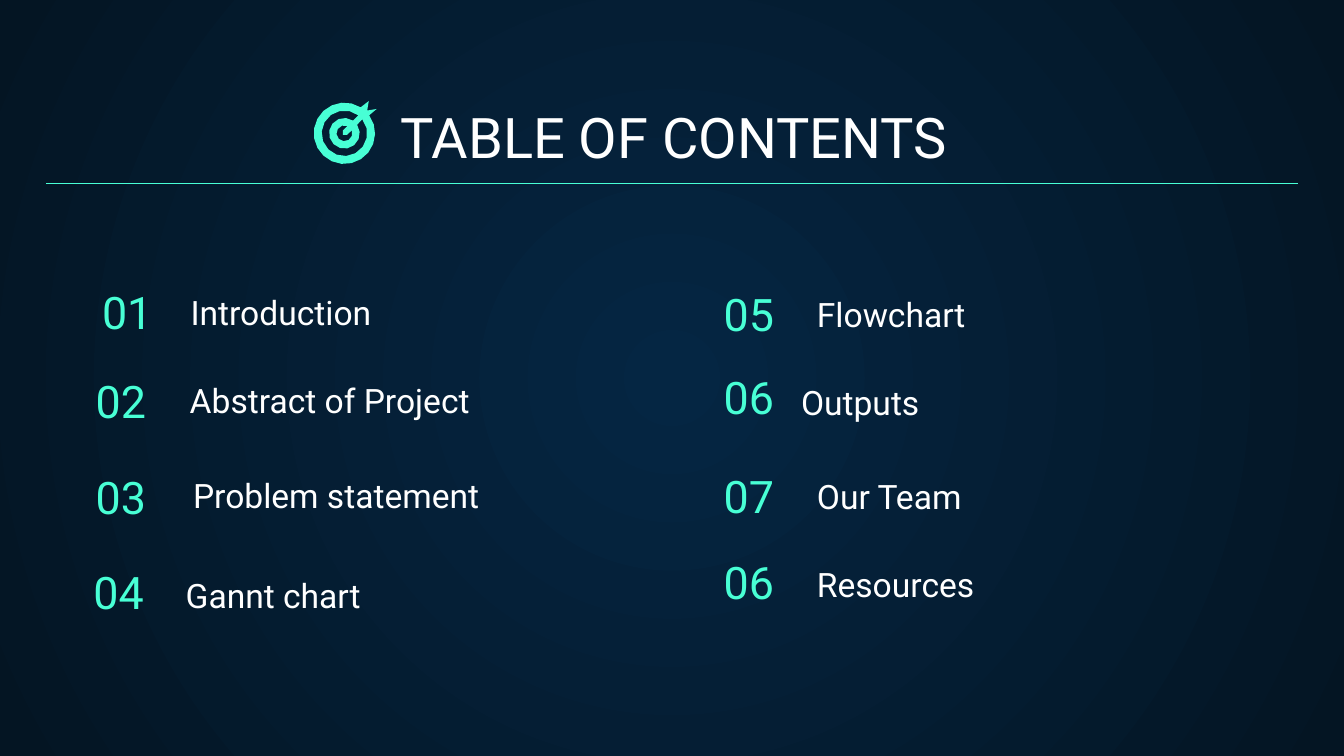
"""Build a dark table of contents slide with eight numbered entries and a target icon."""
from math import cos, radians, sin

from lxml.etree import SubElement
from pptx import Presentation
from pptx.dml.color import RGBColor
from pptx.enum.shapes import MSO_CONNECTOR
from pptx.enum.text import MSO_ANCHOR, MSO_AUTO_SIZE, PP_ALIGN
from pptx.oxml.ns import qn
from pptx.util import Cm, Pt

MINT = RGBColor(0x48, 0xFF, 0xD5)
WHITE = RGBColor(0xFF, 0xFF, 0xFF)
NAVY = RGBColor(0x05, 0x26, 0x43)
MIDNIGHT = RGBColor(0x04, 0x15, 0x23)
LEFT, CENTER, RIGHT = PP_ALIGN.LEFT, PP_ALIGN.CENTER, PP_ALIGN.RIGHT

TITLE = ("TABLE OF CONTENTS", (0.9, 1.78, 23.67, 1.68), CENTER)
NUMBERS = [
    ("01", (1.68, 4.97, 2.03, 1.68), LEFT),
    ("02", (1.56, 6.78, 1.98, 1.55), LEFT),
    ("03", (1.56, 8.46, 1.98, 1.68), LEFT),
    ("04", (0.99, 10.26, 1.98, 1.68), RIGHT),
    ("05", (13.15, 5.0, 1.73, 1.68), RIGHT),
    ("06", (11.6, 6.58, 3.28, 1.68), RIGHT),
    ("07", (11.6, 8.45, 3.28, 1.68), RIGHT),
    ("06", (11.6, 9.45, 3.28, 2.31), RIGHT),
]
TOPICS = [
    ("Introduction", (2.88, 5.14, 4.39, 1.4), RIGHT),
    ("Abstract of Project", (2.96, 7.11, 6.17, 1.09), RIGHT),
    ("Problem statement", (2.88, 8.92, 6.43, 1.07), RIGHT),
    ("Gannt chart", (3.26, 10.74, 5.66, 1.14), LEFT),
    ("Flowchart", (15.19, 5.57, 7.49, 0.99), LEFT),
    ("Outputs", (14.89, 6.96, 9.02, 1.27), LEFT),
    ("Our Team", (15.19, 9.02, 7.49, 0.99), LEFT),
    ("Resources", (15.19, 10.69, 7.49, 0.99), LEFT),
]
TARGET_CENTER = (6.51, 2.52)
DART_TAIL = [(0.61, 0.46), (0.43, 0.43), (0.46, 0.61)]
DART_TIP = [(0.05, -0.03), (-0.03, -0.03), (-0.03, 0.05)]


def arc(radius, start, end, steps):
    """Return points on an arc around the origin, with y pointing up."""
    angles = [radians(start + (end - start) * step / steps) for step in range(steps + 1)]
    return [(radius * cos(angle), radius * sin(angle)) for angle in angles]


def write_text(shape, content, size, color):
    """Place a text shape and fill it with one formatted run."""
    text, box, alignment = content
    shape.left, shape.top, shape.width, shape.height = map(Cm, box)
    frame = shape.text_frame
    frame.word_wrap = True
    frame.auto_size = MSO_AUTO_SIZE.NONE
    frame.vertical_anchor = MSO_ANCHOR.BOTTOM
    frame.margin_left = frame.margin_right = Cm(0.25)
    frame.margin_top = frame.margin_bottom = Cm(0.25)
    paragraph = frame.paragraphs[0]
    paragraph.alignment = alignment
    paragraph.line_spacing = 1.0
    paragraph.space_before = Pt(0)
    run = paragraph.add_run()
    run.text = text
    run.font.name = "Roboto"
    run.font.size = Pt(size)
    run.font.color.rgb = color


def paint_background(slide):
    """Give the slide a circular gradient that darkens outwards."""
    fill = slide.background.fill
    fill.gradient()
    for stop, color, position in zip(fill.gradient_stops, (NAVY, MIDNIGHT), (0, 1)):
        stop.color.rgb = color
        stop.position = position
    gradient = slide.background._cSld.find(".//" + qn("a:gradFill"))
    gradient.remove(gradient.find(qn("a:lin")))
    circle = SubElement(gradient, qn("a:path"), path="circle")
    SubElement(circle, qn("a:fillToRect"), dict.fromkeys("ltrb", "50000"))


def draw_target(slide):
    """Draw the target and its dart as one outline with cut-out rings."""
    contours = [
        arc(0.58, 58, 396, 18) + DART_TAIL,
        arc(0.43, 52, 398, 14) + arc(0.29, 394, 56, 12),
        arc(0.15, 68, 382, 8) + DART_TIP,
    ]
    center_x, center_y = TARGET_CENTER
    outlines = [[(Cm(center_x + x), Cm(center_y - y)) for x, y in contour]
                for contour in contours]
    builder = slide.shapes.build_freeform(*outlines[0][0])
    builder.add_line_segments(outlines[0][1:], close=True)
    for outline in outlines[1:]:
        builder.move_to(*outline[0])
        builder.add_line_segments(outline[1:], close=True)
    target = builder.convert_to_shape()
    target.shadow.inherit = False
    target.fill.solid()
    target.fill.fore_color.rgb = MINT
    target.line.fill.background()


def draw_rule(slide):
    """Draw the thin line below the title."""
    rule = slide.shapes.add_connector(
        MSO_CONNECTOR.STRAIGHT, Cm(0.87), Cm(3.47), Cm(24.53), Cm(3.47))
    rule.line.color.rgb = MINT
    rule.line.width = Pt(0.75)
    SubElement(rule._element.spPr, qn("a:effectLst"))


def main():
    """Assemble and save the slide."""
    presentation = Presentation()
    presentation.slide_width, presentation.slide_height = Cm(25.4), Cm(14.29)
    slide = presentation.slides.add_slide(presentation.slide_layouts[5])
    paint_background(slide)
    write_text(slide.shapes.title, TITLE, 30, WHITE)
    for contents, size, color in ((NUMBERS, 24, MINT), (TOPICS, 18, WHITE)):
        for content in contents:
            text_box = slide.shapes.add_textbox(0, 0, 0, 0)
            write_text(text_box, content, size, color)
    draw_target(slide)
    draw_rule(slide)
    presentation.save("out.pptx")


if __name__ == "__main__":
    main()
